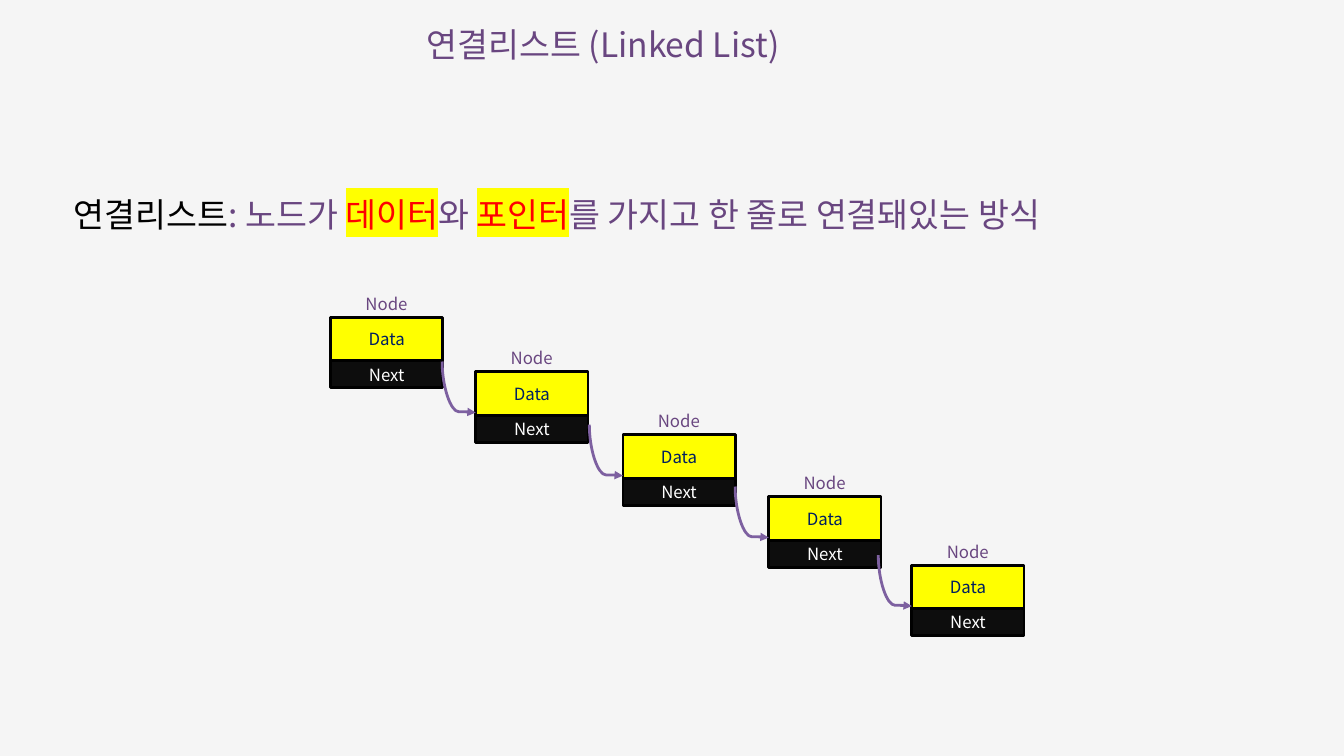
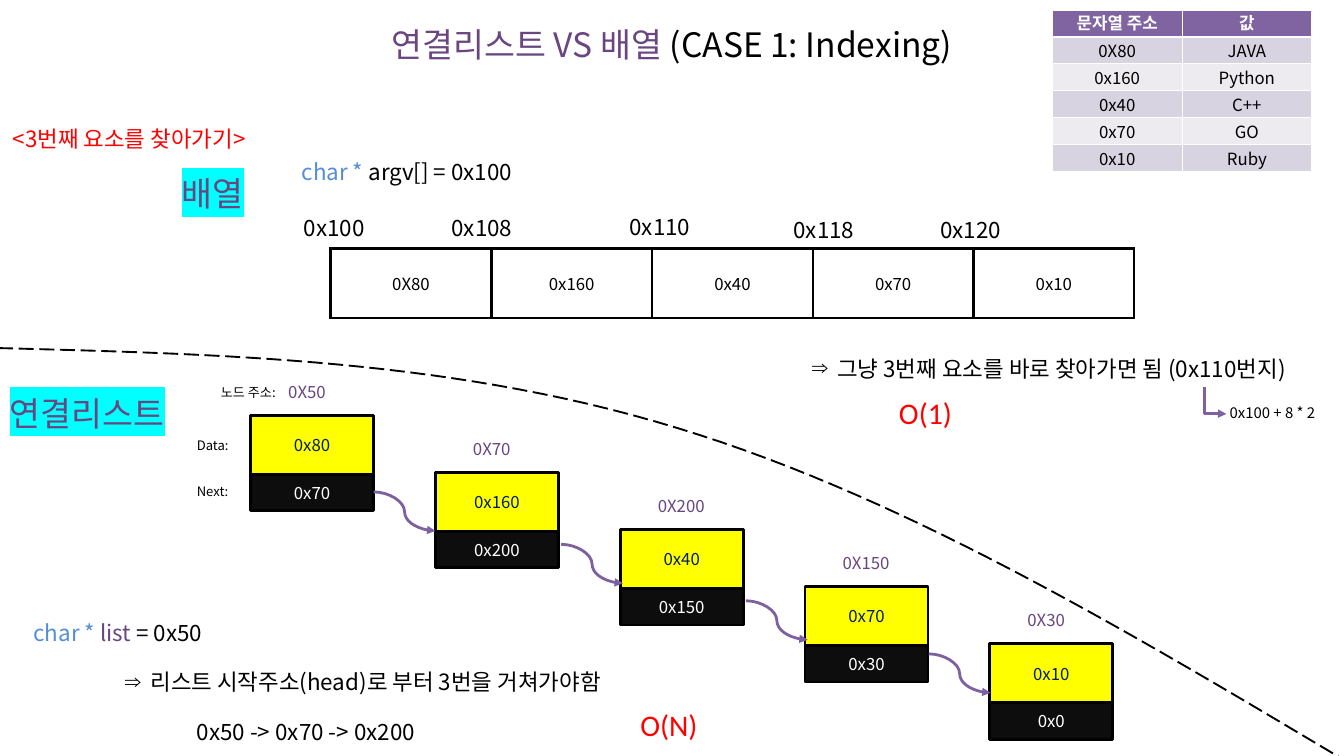
import pptx
import pptx.util
import pptx.dml.color
import pptx.enum.dml
import pptx.enum.shapes
import pptx.enum.text
import pptx.oxml
import pptx.oxml.ns
import lxml.etree

Inches = pptx.util.Inches
Pt = pptx.util.Pt
Color = pptx.dml.color.RGBColor.from_string
qn = pptx.oxml.ns.qn
Align = pptx.enum.text.PP_ALIGN
Anchor = pptx.enum.text.MSO_ANCHOR
Kind = pptx.enum.shapes.MSO_CONNECTOR
Rect = pptx.enum.shapes.MSO_SHAPE.RECTANGLE


class Theme:
    face = "Noto Sans CJK KR"
    latin = "Calibri"
    purple = "694680"
    arrow = "7D60A0"
    head = "8064A2"
    bands = ("EDEAF0", "D8D3E0")
    black = "000000"
    dark = "0D0D0D"
    white = "FFFFFF"
    pale = "F5F5F5"
    navy = "002060"
    blue = "558ED5"
    red = "FF0000"
    yellow = "FFFF00"
    cyan = "00FFFF"
    title = 36
    big = 32
    mid = 24
    base = 18
    note = 16
    small = 14
    line = 3


def write(frame, runs, size, hue, align=Align.LEFT, face=Theme.face, grow=True, mark=None):
    frame.word_wrap = True
    if grow:
        frame.auto_size = pptx.enum.text.MSO_AUTO_SIZE.SHAPE_TO_FIT_TEXT
        frame.vertical_anchor = Anchor.TOP
    para = frame.paragraphs[0]
    para.alignment = align
    para.space_before = Pt(0)
    para.font.size = Pt(size)
    para.font.color.rgb = Color(hue)
    para.font.name = face
    props = para._p.pPr.find(qn("a:defRPr"))
    lxml.etree.SubElement(props, qn("a:ea")).set("typeface", face)
    if mark is not None:
        para._p.pPr.set("marL", str(Inches(0.38) if mark else 0))
        para._p.pPr.set("indent", str(-Inches(0.38) if mark else 0))
        bullet = lxml.etree.Element(qn("a:buChar" if mark else "a:buNone"))
        if mark:
            bullet.set("char", mark)
        props.addprevious(bullet)
    for words, tint, glow in [(runs, None, None)] if isinstance(runs, str) else runs:
        run = para.add_run()
        run.text = words
        if tint:
            run.font.color.rgb = Color(tint)
        if glow:
            light = lxml.etree.SubElement(run._r.get_or_add_rPr(), qn("a:highlight"))
            lxml.etree.SubElement(light, qn("a:srgbClr")).set("val", glow)
    return para


def link(shapes, kind, x, y, wide, high, bend=None):
    if bend:
        left, top = x + (wide - high) / 2, y + (high - wide) / 2
        wide, high = high, wide
    else:
        left, top = x, y
    line = shapes.add_connector(kind, Inches(left), Inches(top),
                                Inches(left + wide), Inches(top + high))
    line.line.color.rgb = Color(Theme.arrow)
    line.line.width = Pt(Theme.line)
    props = line.element.spPr
    if bend:
        form = props.find(qn("a:xfrm"))
        form.set("rot", "16200000")
        form.set("flipH", "1")
        guide = lxml.etree.SubElement(props.find(qn("a:prstGeom")).find(qn("a:avLst")), qn("a:gd"))
        guide.set("name", "adj1")
        guide.set("fmla", f"val {bend}")
    lxml.etree.SubElement(props.find(qn("a:ln")), qn("a:tailEnd")).set("type", "triangle")
    lxml.etree.SubElement(props, qn("a:effectLst"))


deck = pptx.Presentation()
deck.slide_width = Inches(20)
deck.slide_height = Inches(11.25)
intro = deck.slides.add_slide(deck.slide_layouts[1])
case = deck.slides.add_slide(deck.slide_layouts[3])
for slide, back in ((intro, Theme.pale), (case, Theme.white)):
    slide.background.fill.solid()
    slide.background.fill.fore_color.rgb = Color(back)

holds = [
    (intro, 0, 6.25, 0.31, 5.96, 0.71, "연결리스트 (Linked List)", Theme.title, Theme.purple, Align.LEFT, None),
    (intro, 1, 1, 2.83, 15.66, 0.71, [
        ("연결리스트", Theme.black, None), (": 노드가 ", None, None),
        ("데이터", Theme.red, Theme.yellow), ("와 ", None, None),
        ("포인터", Theme.red, Theme.yellow), ("를 가지고 한 줄로 연결돼있는 방식", None, None),
    ], Theme.title, Theme.purple, Align.LEFT, ""),
    (case, 0, 5.35, 0.31, 9.3, 0.71, [
        ("연결리스트 VS 배열 ", None, None), ("(CASE 1: Indexing)", Theme.black, None),
    ], Theme.title, Theme.purple, Align.CENTER, None),
    (case, 1, 11.98, 5.23, 7.74, 0.5, "그냥 3번째 요소를 바로 찾아가면 됨 (0x110번지)",
     Theme.mid, Theme.black, Align.LEFT, "⇒"),
    (case, 2, 1.76, 9.89, 7.74, 0.5, "리스트 시작주소(head)로 부터 3번을 거쳐가야함",
     Theme.mid, Theme.black, Align.LEFT, "⇒"),
]
for slide, slot, x, y, wide, high, words, size, hue, align, mark in holds:
    hold = slide.placeholders[slot]
    hold.left, hold.top, hold.width, hold.height = map(Inches, (x, y, wide, high))
    write(hold.text_frame, words, size, hue, align, mark=mark)

steps = range(5)
chains = [
    (intro, [4.92, 7.08, 9.27, 11.44, 13.57], [4.72, 5.53, 6.47, 7.39, 8.41],
     1.67, 0.65, 0.4, 0.42, 0.4, ["Node"] * 5, ["Data"] * 5, ["Next"] * 5),
    (case, [3.73 + 2.75 * i for i in steps], [6.18 + 0.85 * i for i in steps],
     1.83, 0.88, 0.54, 0.46, 0.55, ["0X50", "0X70", "0X200", "0X150", "0X30"],
     ["0x80", "0x160", "0x40", "0x70", "0x10"], ["0x70", "0x200", "0x150", "0x30", "0x0"]),
]
for slide, lefts, tops, wide, tall, low, shift, lift, names, data, nexts in chains:
    for x, y, name, value, after in zip(lefts, tops, names, data, nexts):
        shapes = slide.shapes.add_group_shape().shapes
        for words, top, high, fill, hue in ((after, y + tall, low, Theme.dark, Theme.white),
                                            (value, y, tall, Theme.yellow, Theme.navy)):
            box = shapes.add_shape(Rect, Inches(x), Inches(top), Inches(wide), Inches(high))
            box.shadow.inherit = False
            box.fill.solid()
            box.fill.fore_color.rgb = Color(fill)
            box.line.color.rgb = Color(Theme.black)
            box.line.width = Pt(Theme.line)
            box.text_frame.vertical_anchor = Anchor.MIDDLE
            write(box.text_frame, words, Theme.base, hue, Align.CENTER, grow=False)
        label = shapes.add_textbox(Inches(x + shift), Inches(y - lift),
                                   Inches(0.2 + 0.17 * len(name)), Inches(0.4))
        write(label.text_frame, name, Theme.base, Theme.purple)

for x, y in zip(chains[0][1][1:], chains[0][2][1:]):
    link(intro.shapes, Kind.CURVE, x - 0.5, y - 0.15, 0.5, 0.76, 98500)
for x, y in ((5.56, 7.32), (8.35, 8.1), (11.1, 8.94), (13.82, 9.73)):
    link(case.shapes, Kind.CURVE, x, y, 0.92, 0.58)
link(case.shapes, Kind.ELBOW, 17.92, 5.76, 0.33, 0.4, 99000)

arcs = [
    ((-0.03, 5.18), (3.36, 5.27), (6.75, 5.35), (10.08, 6.37)),
    ((10.08, 6.37), (13.41, 7.38), (16.68, 9.33), (19.95, 11.28)),
]
dots = []
for arc in arcs:
    for step in range(1, 31):
        t = step / 30
        parts = ((1 - t) ** 3, 3 * t * (1 - t) ** 2, 3 * t * t * (1 - t), t ** 3)
        dots.append(tuple(Inches(sum(p * dot[axis] for p, dot in zip(parts, arc))) for axis in (0, 1)))
pen = case.shapes.build_freeform(Inches(-0.03), Inches(5.18))
pen.add_line_segments(dots, close=False)
split = pen.convert_to_shape()
split.shadow.inherit = False
split.fill.background()
split.line.color.rgb = Color(Theme.black)
split.line.width = Pt(2)
split.line.dash_style = pptx.enum.dml.MSO_LINE.LONG_DASH

tables = [
    (4.92, 3.7, 11.96, 1.03, Theme.black, Theme.line, False,
     [["0X80", "0x160", "0x40", "0x70", "0x10"]]),
    (15.66, 0.15, 3.86, 2.4, Theme.white, 1, True,
     [["문자열 주소", "값"], ["0X80", "JAVA"], ["0x160", "Python"],
      ["0x40", "C++"], ["0x70", "GO"], ["0x10", "Ruby"]]),
]
for x, y, wide, high, edge, width, banded, rows in tables:
    grid = case.shapes.add_table(len(rows), len(rows[0]), Inches(x), Inches(y),
                                 Inches(wide), Inches(high)).table
    grid.first_row = banded
    grid.horz_banding = False
    for r, row in enumerate(rows):
        for c, words in enumerate(row):
            cell = grid.cell(r, c)
            head = banded and r == 0
            cell.vertical_anchor = Anchor.MIDDLE
            cell.margin_top = cell.margin_bottom = Inches(0.02)
            if banded:
                cell.fill.solid()
                cell.fill.fore_color.rgb = Color(Theme.head if head else Theme.bands[r % 2])
            else:
                cell.fill.background()
            para = write(cell.text_frame, words, Theme.base, Theme.white if head else Theme.black,
                         Align.CENTER, Theme.latin if head else Theme.face, False)
            para.font.bold = head
            for spot, side in enumerate(("lnL", "lnR", "lnT", "lnB")):
                thick = Theme.line if (head and side == "lnB") or (r == 1 and side == "lnT") else width
                line = lxml.etree.Element(qn("a:" + side), w=str(Pt(thick)))
                fill = lxml.etree.SubElement(line, qn("a:solidFill"))
                lxml.etree.SubElement(fill, qn("a:srgbClr")).set("val", edge)
                cell._tc.get_or_add_tcPr().insert(spot, line)

notes = [
    (3.19, 5.67, 1.1, 0.34, "노드 주소:", Theme.small, Theme.black, Theme.face),
    (2.83, 6.46, 0.72, 0.34, "Data:", Theme.small, Theme.black, Theme.face),
    (2.83, 7.15, 0.72, 0.34, "Next:", Theme.small, Theme.black, Theme.face),
    (0.05, 5.79, 2.62, 0.71, [("연결리스트", None, Theme.cyan)], Theme.title, Theme.purple, Theme.face),
    (2.61, 2.53, 1.17, 0.71, [("배열", None, Theme.cyan)], Theme.title, Theme.purple, Theme.face),
    (4.42, 3.14, 1.23, 0.5, "0x100", Theme.mid, Theme.black, Theme.face),
    (6.62, 3.14, 1.22, 0.5, "0x108", Theme.mid, Theme.black, Theme.face),
    (9.27, 3.12, 1.14, 0.5, "0x110", Theme.mid, Theme.black, Theme.face),
    (11.71, 3.17, 1.14, 0.5, "0x118", Theme.mid, Theme.black, Theme.face),
    (13.89, 3.17, 1.2, 0.5, "0x120", Theme.mid, Theme.black, Theme.face),
    (4.39, 2.3, 3.88, 0.5, [("char * ", Theme.blue, None), ("argv[] = 0x100", None, None)],
     Theme.mid, Theme.black, Theme.face),
    (0.4, 9.17, 3.21, 0.5, [("char *", Theme.blue, None), (" list", Theme.purple, None),
                            (" = 0x50", None, None)], Theme.mid, Theme.black, Theme.face),
    (0.09, 1.81, 3.83, 0.5, "<3번째 요소를 찾아가기>", Theme.mid, Theme.red, Theme.face),
    (13.28, 5.83, 1, 0.64, "O(1)", Theme.big, Theme.red, Theme.latin),
    (2.83, 10.64, 4.17, 0.5, "0x50 -> 0x70 -> 0x200", Theme.mid, Theme.black, Theme.face),
    (9.43, 10.46, 1.06, 0.64, "O(N)", Theme.big, Theme.red, Theme.latin),
    (18.2, 5.96, 1.73, 0.37, "0x100 + 8 * 2", Theme.note, Theme.black, Theme.face),
]
for x, y, wide, high, words, size, hue, face in notes:
    box = case.shapes.add_textbox(Inches(x), Inches(y), Inches(wide), Inches(high))
    write(box.text_frame, words, size, hue, face=face)

deck.save("out.pptx")
